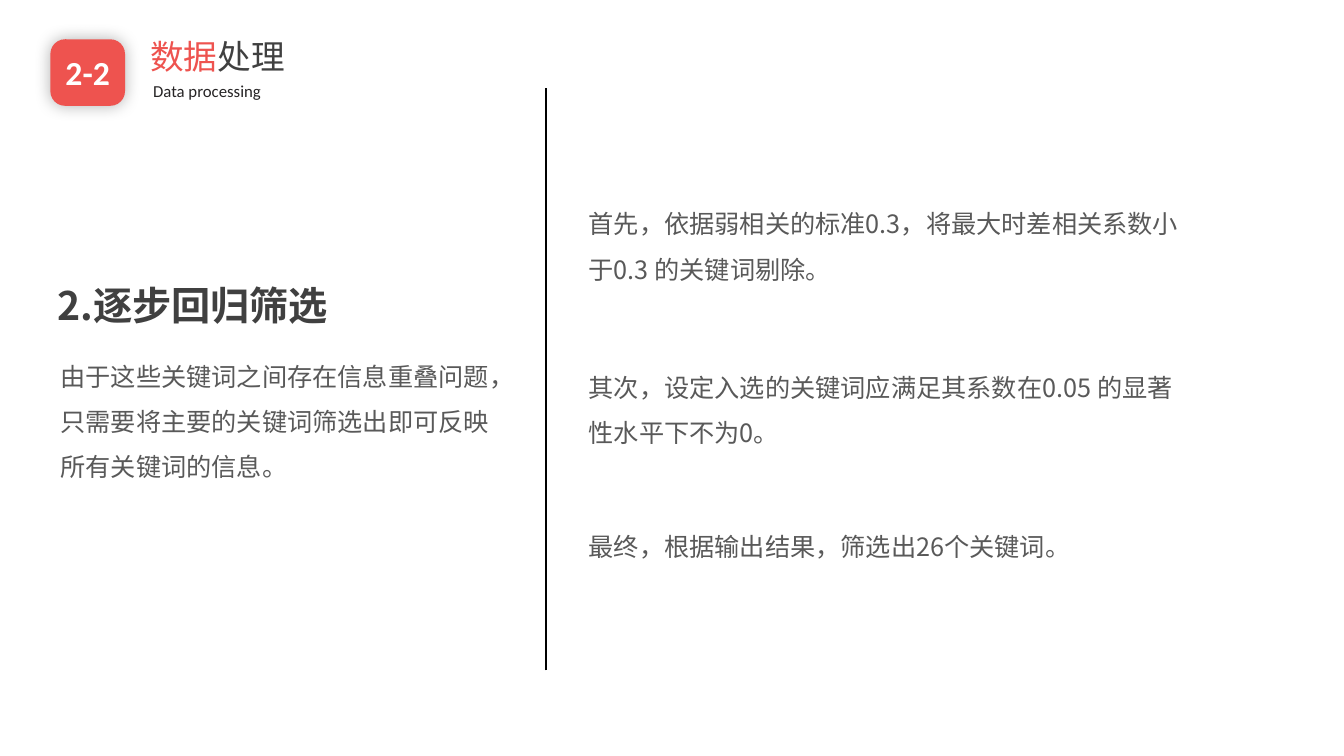
import pptx
import pptx.util
import pptx.dml.color
import pptx.enum.shapes
import pptx.enum.text
import pptx.oxml
import pptx.oxml.ns

Inches, Pt = pptx.util.Inches, pptx.util.Pt
ALIGN = pptx.enum.text.PP_ALIGN
ANCHOR = pptx.enum.text.MSO_ANCHOR

COLORS = {"accent": "EE534F", "dark": "404040", "body": "595959",
          "subtitle": "262425", "white": "FFFFFF", "rule": "000000"}
LATIN, CJK = "Calibri", "Noto Sans CJK SC"

# Content
NUMBER = "2-2"
TITLE = [("数据", "accent"), ("处理", "dark")]
SUBTITLE = "Data processing"
HEADING = "2.逐步回归筛选"
REASON = "由于这些关键词之间存在信息重叠问题，只需要将主要的关键词筛选出即可反映所有关键词的信息。"
STEPS = [  # text, top, height, line spacing
    ("首先，依据弱相关的标准0.3，将最大时差相关系数小于0.3 的关键词剔除。", 1.87, 0.96, 1.5),
    ("其次，设定入选的关键词应满足其系数在0.05 的显著性水平下不为0。", 3.49, 1.01, 1.5),
    ("最终，根据输出结果，筛选出26个关键词。", 5.22, 0.4, 1),
]
STEP_LEFT, STEP_WIDTH = 5.74, 6.11
RULE_X, RULE_TOP, RULE_BOTTOM = 5.42, 0.87, 6.65


def rgb(name):
    return pptx.dml.color.RGBColor.from_string(COLORS[name])


def add_xml(parent, tag, inner="", attributes=""):
    namespace = pptx.oxml.ns.nsdecls("a")
    parent.append(pptx.oxml.parse_xml(f"<a:{tag} {namespace} {attributes}>{inner}</a:{tag}>"))


def place(shape, left, top, width, height):
    shape.left, shape.top = Inches(left), Inches(top)
    shape.width, shape.height = Inches(width), Inches(height)


def style(shape, size, color=None, face=CJK, bold=False, align=ALIGN.LEFT,
          spacing=1, anchor=ANCHOR.TOP):
    frame = shape.text_frame
    frame.word_wrap = True
    frame.auto_size = pptx.enum.text.MSO_AUTO_SIZE.NONE
    frame.vertical_anchor = anchor
    para = frame.paragraphs[0]
    para.alignment, para.line_spacing = align, spacing
    para.space_before = Pt(0)
    font = para.font
    font.size, font.bold, font.name = Pt(size), bold, face
    if color:
        font.color.rgb = rgb(color)
    add_xml(font._element, "ea", attributes=f'typeface="{CJK}"')
    return para


def add_text(page, text, bounds, size, color, **options):
    box = page.shapes.add_textbox(*map(Inches, bounds))
    box.text_frame.text = text
    style(box, size, color, **options)


deck = pptx.Presentation()
deck.slide_width, deck.slide_height = Inches(13.33), Inches(7.5)
page = deck.slides.add_slide(deck.slide_layouts[1])

# Section badge with a soft shadow
badge = page.shapes.add_shape(pptx.enum.shapes.MSO_SHAPE.ROUNDED_RECTANGLE,
                              *map(Inches, (0.5, 0.39, 0.74, 0.66)))
badge.adjustments[0] = 0.22
badge.fill.solid()
badge.fill.fore_color.rgb = rgb("accent")
badge.line.fill.background()
badge.shadow.inherit = False
add_xml(badge._element.spPr.find(pptx.oxml.ns.qn("a:effectLst")), "outerShdw",
        f'<a:srgbClr val="{COLORS["rule"]}"><a:alpha val="30000"/></a:srgbClr>',
        f'blurRad="{Pt(12)}" dist="0" dir="0" algn="ctr" rotWithShape="0"')
badge.text_frame.text = NUMBER
style(badge, 24, "white", face=LATIN, bold=True, align=ALIGN.CENTER, anchor=ANCHOR.MIDDLE)

# Title and subtitle
title = page.shapes.title
place(title, 1.39, 0.21, 3.6, 0.7)
title_para = style(title, 24, face=LATIN, anchor=ANCHOR.MIDDLE)
for text, color in TITLE:
    span = title_para.add_run()
    span.text = text
    span.font.color.rgb = rgb(color)
add_text(page, SUBTITLE, (1.42, 0.75, 4, 0.3), 12, "subtitle", face=LATIN, align=ALIGN.JUSTIFY)

# Left column: heading and reason
add_text(page, HEADING, (0.26, 2.74, 3.3, 0.57), 28, "dark", bold=True, align=ALIGN.CENTER)
reason = page.placeholders[1]
place(reason, 0.5, 3.38, 4.49, 1.46)
reason.text_frame.text = REASON
reason_para = style(reason, 18, "body", spacing=1.5)
reason_format = reason_para._p.get_or_add_pPr()
reason_format.set("marL", "0")
reason_format.set("indent", "0")
reason_format.find(pptx.oxml.ns.qn("a:defRPr")).addprevious(
    pptx.oxml.parse_xml(f'<a:buNone {pptx.oxml.ns.nsdecls("a")}/>'))

# Dividing rule
rule = page.shapes.add_connector(pptx.enum.shapes.MSO_CONNECTOR.STRAIGHT,
                                 *map(Inches, (RULE_X, RULE_BOTTOM, RULE_X, RULE_TOP)))
rule.line.color.rgb = rgb("rule")
rule.line.width = Pt(1.5)
add_xml(rule._element.spPr, "effectLst")

# Right column: screening steps
for text, top, height, spacing in STEPS:
    add_text(page, text, (STEP_LEFT, top, STEP_WIDTH, height), 18, "body", spacing=spacing)

deck.save("out.pptx")
